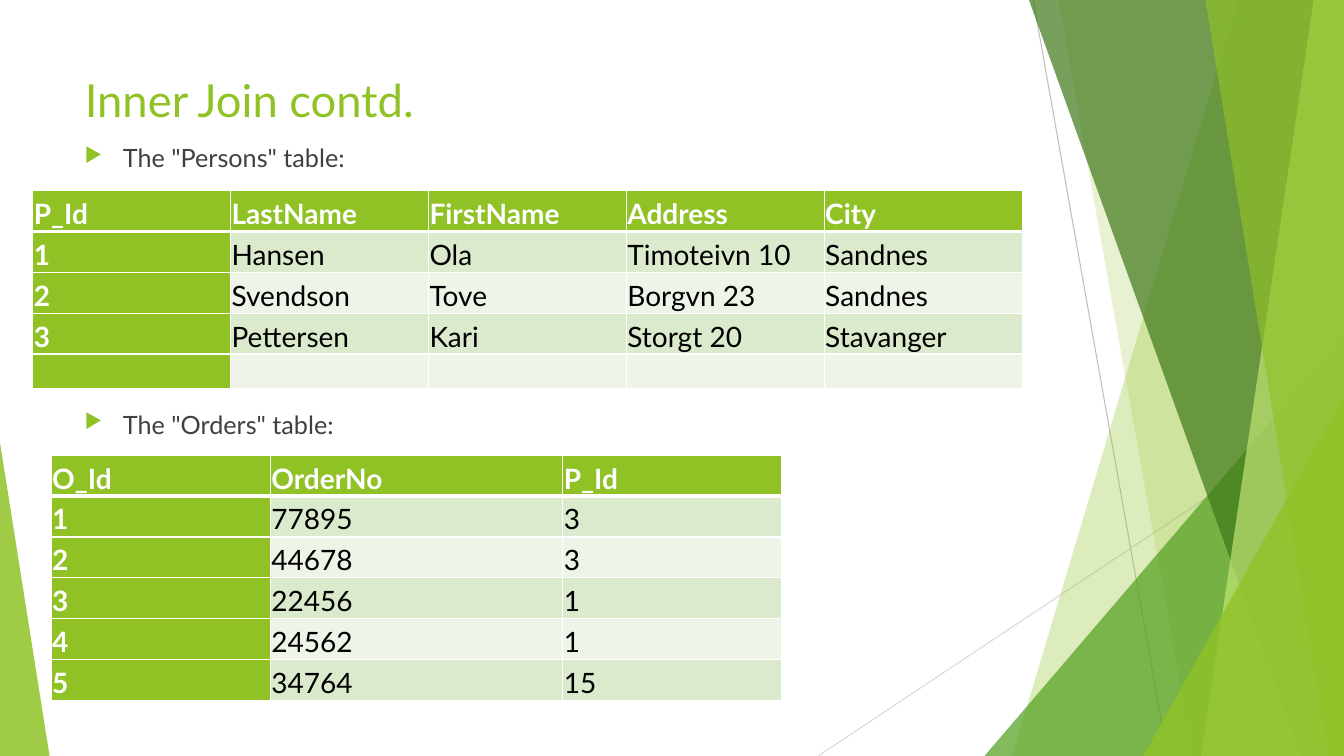
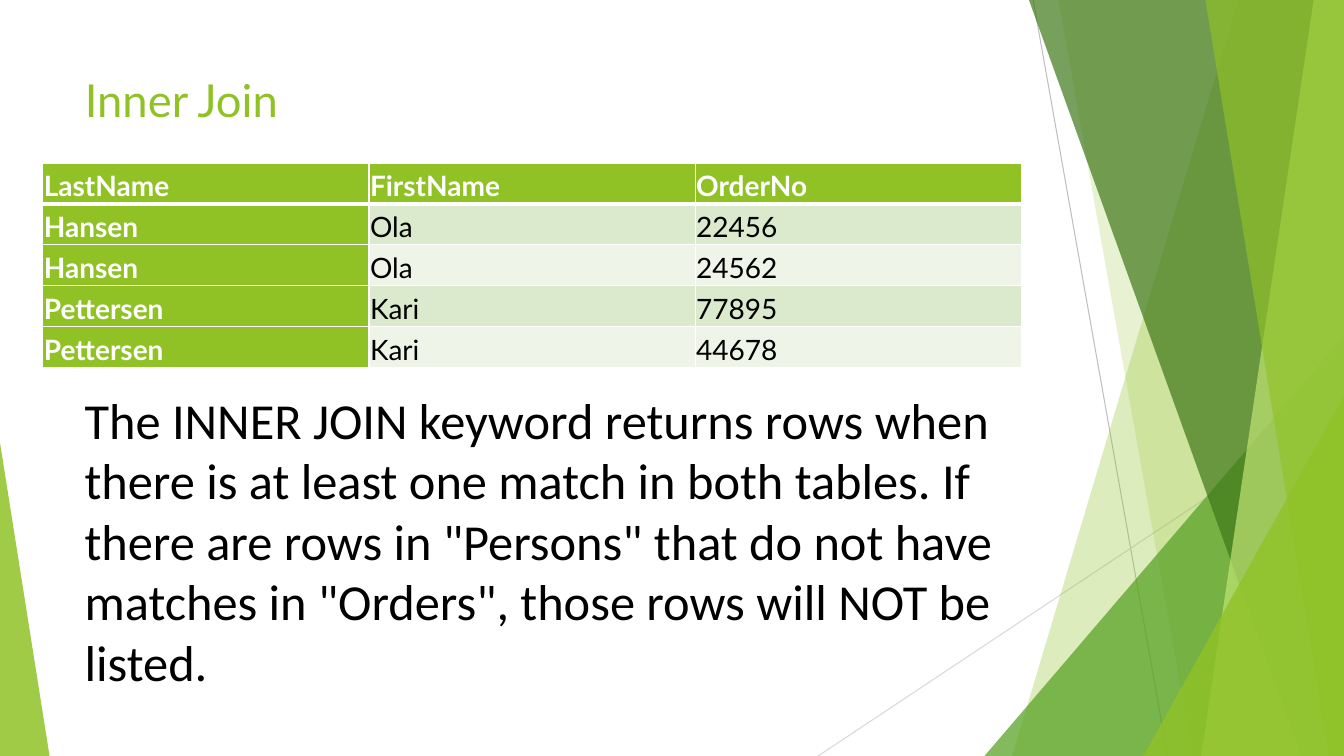
import lxml.etree
import pptx
import pptx.dml.color
import pptx.enum.shapes
import pptx.enum.text
import pptx.oxml.ns
import pptx.util

COLUMNS, ROWS = 160, 90
CELL = pptx.util.Inches(7.5) // ROWS
GREEN, WHITE, BLACK, GREY = "90C226", "FFFFFF", "000000", "404040"
BANDS = ["EEF4E8", "DBE9CD"]
FONT = "Lato"
MARGIN, TEXT_WIDTH = 8.9, 112.8
ROW_HEIGHT, BLANK_ROW_HEIGHT = 4.8, 4.1
qn = pptx.oxml.ns.qn


def grid(*cells):
    """Turn grid cells into slide lengths."""
    return [pptx.util.Emu(round(cell * CELL)) for cell in cells]


def rgb(hex_string):
    return pptx.dml.color.RGBColor.from_string(hex_string)


# Back to front; a panel runs from its left edge at top and bottom to the slide's right edge.
guide_lines = [
    ((123, 0, 139, 90), "BFBFBF"),
    ((160, 48.4, 97.4, 90), "D9D9D9"),
]
facets = [
    ("panel", (147.4, 120.5), GREEN, 30),
    ("panel", (126, 142), GREEN, 20),
    ("triangle", (117.2, 40, 42.8, 50), "54A021", 72),
    ("panel", (122.5, 154.9), "3F7819", 70),
    ("panel", (156.4, 143), "C0E474", 70),
    ("panel", (143.5, 158.2), GREEN, 65),
    ("triangle", (136.1, 47.2, 23.9, 42.8), GREEN, 80),
    ("triangle", (0, 52.7, 5.9, 37.3), GREEN, 85),
]

# Texts: top, height, size, font, colour, bulleted, wording.
# Tables: left, top, width, column shares, rows.
slides = [
    {
        "title": "Inner Join contd.",
        "texts": [
            (16.4, 5, 18, FONT, GREY, True, 'The "Persons" table:'),
            (48.1, 5, 18, FONT, GREY, True, 'The "Orders" table:'),
        ],
        "tables": [
            (3.9, 22.7, 117.8, [1, 1, 1, 1, 1], [
                ["P_Id", "LastName", "FirstName", "Address", "City"],
                ["1", "Hansen", "Ola", "Timoteivn 10", "Sandnes"],
                ["2", "Svendson", "Tove", "Borgvn 23", "Sandnes"],
                ["3", "Pettersen", "Kari", "Storgt 20", "Stavanger"],
                ["", "", "", "", ""],
            ]),
            (6.1, 54.2, 87, [3, 4, 3], [
                ["O_Id", "OrderNo", "P_Id"],
                ["1", "77895", "3"],
                ["2", "44678", "3"],
                ["3", "22456", "1"],
                ["4", "24562", "1"],
                ["5", "34764", "15"],
            ]),
        ],
    },
    {
        "title": "Inner Join",
        "texts": [
            (45.7, 37.6, 36, "Calibri", BLACK, False,
             "The INNER JOIN keyword returns rows when there is at least one match "
             'in both tables. If there are rows in "Persons" that do not have matches '
             'in "Orders", those rows will NOT be listed.'),
        ],
        "tables": [
            (5.1, 19.4, 116.5, [1, 1, 1], [
                ["LastName", "FirstName", "OrderNo"],
                ["Hansen", "Ola", "22456"],
                ["Hansen", "Ola", "24562"],
                ["Pettersen", "Kari", "77895"],
                ["Pettersen", "Kari", "44678"],
            ]),
        ],
    },
]

presentation = pptx.Presentation()
presentation.slide_width, presentation.slide_height = grid(COLUMNS, ROWS)
title_only = presentation.slide_layouts[5]

for content in slides:
    slide = presentation.slides.add_slide(title_only)
    shapes = slide.shapes

    for ends, colour in guide_lines:
        guide = shapes.add_connector(pptx.enum.shapes.MSO_CONNECTOR.STRAIGHT, *grid(*ends))
        guide.line.color.rgb = rgb(colour)
        guide.line.width = pptx.util.Pt(0.75)
        lxml.etree.SubElement(guide._element.spPr, qn("a:effectLst"))

    for kind, place, colour, opacity in facets:
        if kind == "panel":
            top_x, bottom_x = place
            outline = shapes.build_freeform(*grid(top_x, 0))
            corners = [(COLUMNS, 0), (COLUMNS, ROWS), (bottom_x, ROWS)]
            outline.add_line_segments([grid(*corner) for corner in corners])
            facet = outline.convert_to_shape()
        else:
            facet = shapes.add_shape(
                pptx.enum.shapes.MSO_SHAPE.ISOSCELES_TRIANGLE, *grid(*place))
            facet.adjustments[0] = 0 if place[0] == 0 else 1
        facet.shadow.inherit = False
        facet.line.fill.background()
        facet.fill.solid()
        facet.fill.fore_color.rgb = rgb(colour)
        fill_colour = facet._element.spPr.find(".//" + qn("a:srgbClr"))
        lxml.etree.SubElement(fill_colour, qn("a:alpha"), val=str(opacity * 1000))

    title = shapes.title
    title.left, title.top, title.width, title.height = grid(MARGIN, 8, TEXT_WIDTH, 8.4)
    heading = title.text_frame
    heading.text = content["title"]
    heading.auto_size = pptx.enum.text.MSO_AUTO_SIZE.NONE
    heading.vertical_anchor = pptx.enum.text.MSO_ANCHOR.TOP
    heading.paragraphs[0].alignment = pptx.enum.text.PP_ALIGN.LEFT
    heading_font = heading.paragraphs[0].runs[0].font
    heading_font.name = FONT
    heading_font.size = pptx.util.Pt(32.4)
    heading_font.color.rgb = rgb(GREEN)

    for left, top, width, shares, rows in content["tables"]:
        frame = shapes.add_table(
            len(rows), len(shares), *grid(left, top, width, ROW_HEIGHT * len(rows)))
        table = frame.table
        table.first_col = True
        for column, share in zip(table.columns, shares):
            column.width = grid(width * share / sum(shares))[0]
        for r, row in enumerate(rows):
            table.rows[r].height = grid(ROW_HEIGHT if any(row) else BLANK_ROW_HEIGHT)[0]
            for c, value in enumerate(row):
                cell = table.cell(r, c)
                emphasised = r == 0 or c == 0
                cell.margin_left = cell.margin_right = pptx.util.Inches(0.01)
                cell.margin_top = cell.margin_bottom = pptx.util.Inches(0.01)
                cell.vertical_anchor = pptx.enum.text.MSO_ANCHOR.MIDDLE
                borders = {"a:lnL": 1, "a:lnR": 1,
                           "a:lnT": 3 if r == 1 else 1, "a:lnB": 3 if r == 0 else 1}
                for side, points in borders.items():
                    border = lxml.etree.SubElement(
                        cell._tc.get_or_add_tcPr(), qn(side), w=str(pptx.util.Pt(points)))
                    paint = lxml.etree.SubElement(border, qn("a:solidFill"))
                    lxml.etree.SubElement(paint, qn("a:srgbClr"), val=WHITE)
                cell.fill.solid()
                cell.fill.fore_color.rgb = rgb(GREEN if emphasised else BANDS[r % 2])
                if not value:
                    continue
                cell.text_frame.text = value
                entry = cell.text_frame.paragraphs[0]
                entry.line_spacing = 1.15
                entry_font = entry.runs[0].font
                entry_font.name = FONT
                entry_font.size = pptx.util.Pt(20)
                entry_font.bold = emphasised
                entry_font.color.rgb = rgb(WHITE if emphasised else BLACK)

    for top, height, size, font_name, colour, bulleted, wording in content["texts"]:
        body = shapes.add_textbox(*grid(MARGIN, top, TEXT_WIDTH, height)).text_frame
        body.word_wrap = True
        body.text = wording
        paragraph = body.paragraphs[0]
        if bulleted:
            properties = paragraph._p.get_or_add_pPr()
            indent = pptx.util.Inches(0.38)
            properties.set("marL", str(indent))
            properties.set("indent", str(-indent))
            bullet_colour = lxml.etree.SubElement(properties, qn("a:buClr"))
            lxml.etree.SubElement(bullet_colour, qn("a:srgbClr"), val=GREEN)
            lxml.etree.SubElement(properties, qn("a:buSzPct"), val="80000")
            lxml.etree.SubElement(properties, qn("a:buChar"), char="▶")
        body_font = paragraph.runs[0].font
        body_font.name = font_name
        body_font.size = pptx.util.Pt(size)
        body_font.color.rgb = rgb(colour)

presentation.save("out.pptx")
